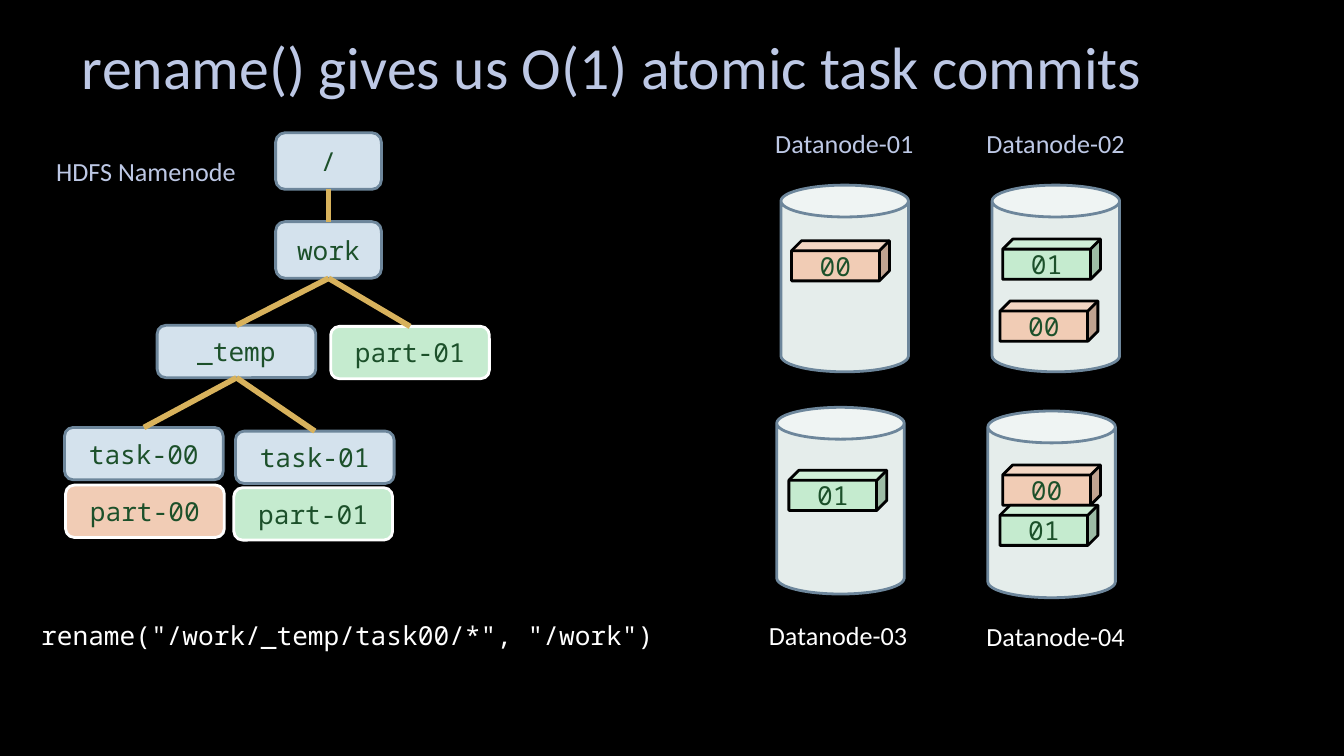
"""Build a slide on how rename() commits task output in HDFS."""
from dataclasses import dataclass

from pptx import Presentation
from pptx.dml.color import RGBColor
from pptx.enum.shapes import MSO_CONNECTOR, MSO_SHAPE
from pptx.enum.text import MSO_ANCHOR, PP_ALIGN
from pptx.oxml.ns import qn
from pptx.slide import Slide
from pptx.util import Cm, Pt
from lxml.etree import SubElement

BLACK = RGBColor(0x00, 0x00, 0x00)
WHITE = RGBColor(0xFF, 0xFF, 0xFF)
LAVENDER = RGBColor(0xBD, 0xC8, 0xE5)
SLATE = RGBColor(0x6D, 0x86, 0x9B)
PALE_BLUE = RGBColor(0xD4, 0xE2, 0xED)
PALE_GREY = RGBColor(0xE5, 0xED, 0xEB)
PEACH = RGBColor(0xF1, 0xCC, 0xB5)
MINT = RGBColor(0xC5, 0xEB, 0xCF)
FOREST = RGBColor(0x1C, 0x50, 0x2A)
GOLD = RGBColor(0xD8, 0xB2, 0x5C)

SMALL_NODE = (2, 1.07)
WIDE_NODE = (3, 0.99)
CAN = (2.41, 3.53)
BLOCK = (1.85, 0.76)
BLOCK_FILLS = {"00": PEACH, "01": MINT}

NODES = {
    "root": ("/", 5.21, 2.51, SMALL_NODE, PALE_BLUE, SLATE),
    "work": ("work", 5.21, 4.19, SMALL_NODE, PALE_BLUE, SLATE),
    "temp": ("_temp", 2.97, 6.15, WIDE_NODE, PALE_BLUE, SLATE),
    "committed": ("part-01", 6.25, 6.17, WIDE_NODE, MINT, WHITE),
    "task 0": ("task-00", 1.22, 8.08, WIDE_NODE, PALE_BLUE, SLATE),
    "task 1": ("task-01", 4.45, 8.15, WIDE_NODE, PALE_BLUE, SLATE),
    "part 0": ("part-00", 1.24, 9.17, WIDE_NODE, PEACH, WHITE),
    "part 1": ("part-01", 4.42, 9.22, WIDE_NODE, MINT, WHITE),
}
EDGES = [
    ("root", "work"), ("work", "temp"), ("work", "committed"),
    ("temp", "task 0"), ("temp", "task 1"),
]
DATANODES = [
    ("Datanode-01", (14.27, 2.29), LAVENDER, (14.76, 3.5),
     [("00", 14.96, 4.55)]),
    ("Datanode-02", (18.26, 2.29), LAVENDER, (18.75, 3.5),
     [("01", 18.95, 4.52), ("00", 18.9, 5.69)]),
    ("Datanode-03", (14.15, 11.58), WHITE, (14.68, 7.7),
     [("01", 14.91, 8.89)]),
    ("Datanode-04", (18.26, 11.61), WHITE, (18.67, 7.77),
     [("00", 18.95, 8.79), ("01", 18.9, 9.55)]),
]


@dataclass
class Diagram:
    """Hold the style and the current slide."""

    slide: Slide
    text_font: str = "Calibri"
    code_font: str = "Noto Sans Mono"
    text_size: int = 14
    title_size: int = 32
    outline_width: float = 1.5
    edge_width: float = 3

    def set_text(self, shape, text, color, name, size, alignment):
        """Put one formatted paragraph in a shape."""
        shape.text_frame.text = text
        paragraph = shape.text_frame.paragraphs[0]
        paragraph.alignment = alignment
        font = paragraph.runs[0].font
        font.name, font.size = name, Pt(size)
        font.color.rgb = color

    def title(self, text, left, top, width, height):
        """Add the slide heading."""
        shape = self.slide.shapes.add_textbox(Cm(left), Cm(top), Cm(width), Cm(height))
        frame = shape.text_frame
        frame.word_wrap = True
        frame.vertical_anchor = MSO_ANCHOR.MIDDLE
        frame.margin_top = frame.margin_bottom = 0
        self.set_text(shape, text, LAVENDER, self.text_font, self.title_size, PP_ALIGN.LEFT)

    def label(self, text, left, top, width, color):
        """Add a centred caption."""
        shape = self.slide.shapes.add_textbox(Cm(left), Cm(top), Cm(width), Cm(0.86))
        shape.text_frame.word_wrap = False
        self.set_text(shape, text, color, self.text_font, self.text_size, PP_ALIGN.CENTER)

    def command(self, text, left, top, width):
        """Add a line of code."""
        shape = self.slide.shapes.add_textbox(Cm(left), Cm(top), Cm(width), Cm(0.86))
        shape.text_frame.word_wrap = True
        self.set_text(shape, text, WHITE, self.code_font, self.text_size, PP_ALIGN.LEFT)

    def box(self, kind, left, top, size, fill, outline, text=""):
        """Add an outlined shape with optional code text."""
        width, height = size
        shape = self.slide.shapes.add_shape(
            kind, Cm(left), Cm(top), Cm(width), Cm(height))
        shape.shadow.inherit = False
        shape.fill.solid()
        shape.fill.fore_color.rgb = fill
        shape.line.color.rgb = outline
        shape.line.width = Pt(self.outline_width)
        if text:
            shape.text_frame.vertical_anchor = MSO_ANCHOR.MIDDLE
            self.set_text(shape, text, FOREST, self.code_font, self.text_size,
                          PP_ALIGN.CENTER)
        return shape

    def edge(self, parent, child):
        """Join the bottom of a parent to the top of its child."""
        connector = self.slide.shapes.add_connector(MSO_CONNECTOR.STRAIGHT, 0, 0, 0, 0)
        connector.begin_connect(parent, 2)
        connector.end_connect(child, 0)
        connector.line.color.rgb = GOLD
        connector.line.width = Pt(self.edge_width)
        SubElement(connector._element.spPr, qn("a:effectLst"))


def main():
    """Draw the file tree and the datanodes."""
    presentation = Presentation()
    presentation.slide_width, presentation.slide_height = Cm(25.4), Cm(14.29)
    slide = presentation.slides.add_slide(presentation.slide_layouts[6])
    slide.background.fill.solid()
    slide.background.fill.fore_color.rgb = BLACK
    diagram = Diagram(slide)

    diagram.title("rename() gives us O(1) atomic task commits", 1.3, 0.84, 22.86, 0.81)
    diagram.label("HDFS Namenode", 0.79, 2.82, 3.94, LAVENDER)
    nodes = {
        key: diagram.box(MSO_SHAPE.ROUNDED_RECTANGLE, left, top, size, fill, outline, text)
        for key, (text, left, top, size, fill, outline) in NODES.items()
    }
    for parent, child in EDGES:
        diagram.edge(nodes[parent], nodes[child])
    diagram.command('rename("/work/_temp/task00/*", "/work")', 0.53, 11.58, 14.43)

    for name, label_position, color, can_position, blocks in DATANODES:
        diagram.label(name, *label_position, 3.38, color)
        diagram.box(MSO_SHAPE.CAN, *can_position, CAN, PALE_GREY, SLATE)
        for text, left, top in blocks:
            diagram.box(MSO_SHAPE.CUBE, left, top, BLOCK, BLOCK_FILLS[text], BLACK, text)

    presentation.save("out.pptx")


if __name__ == "__main__":
    main()
